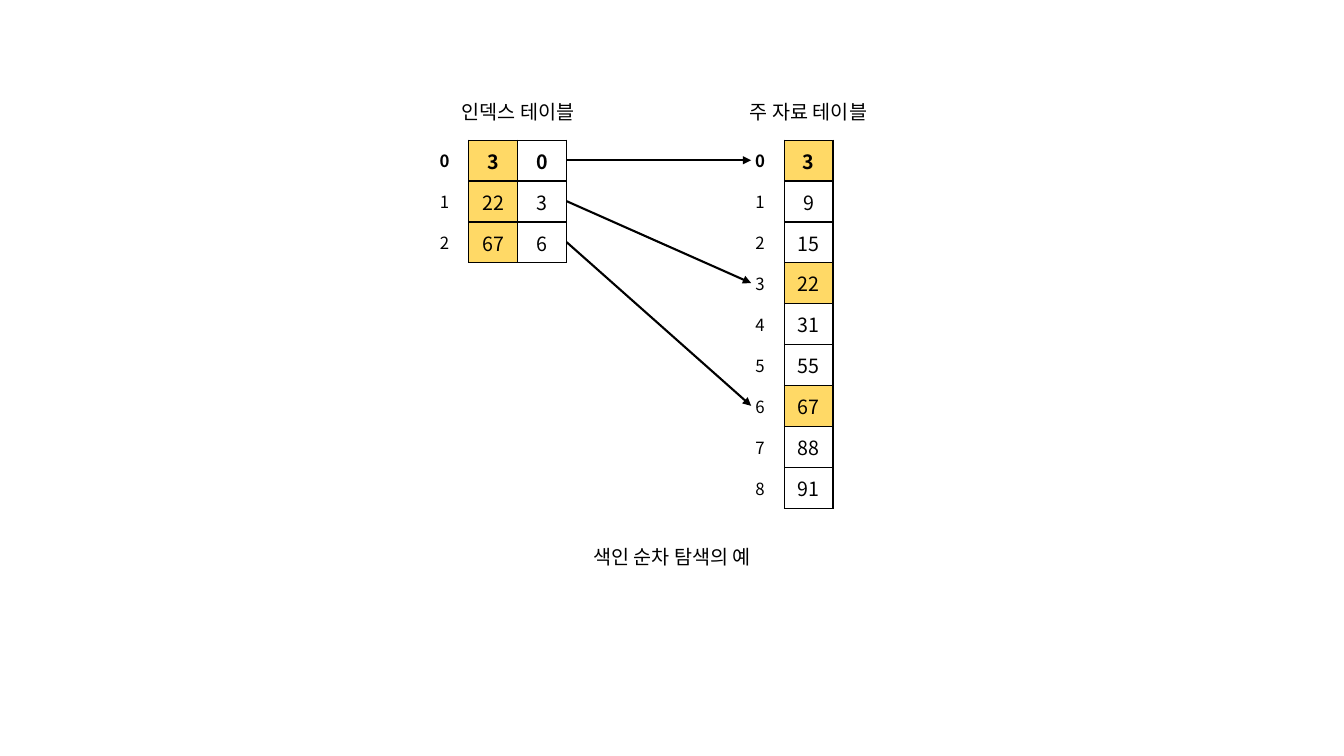
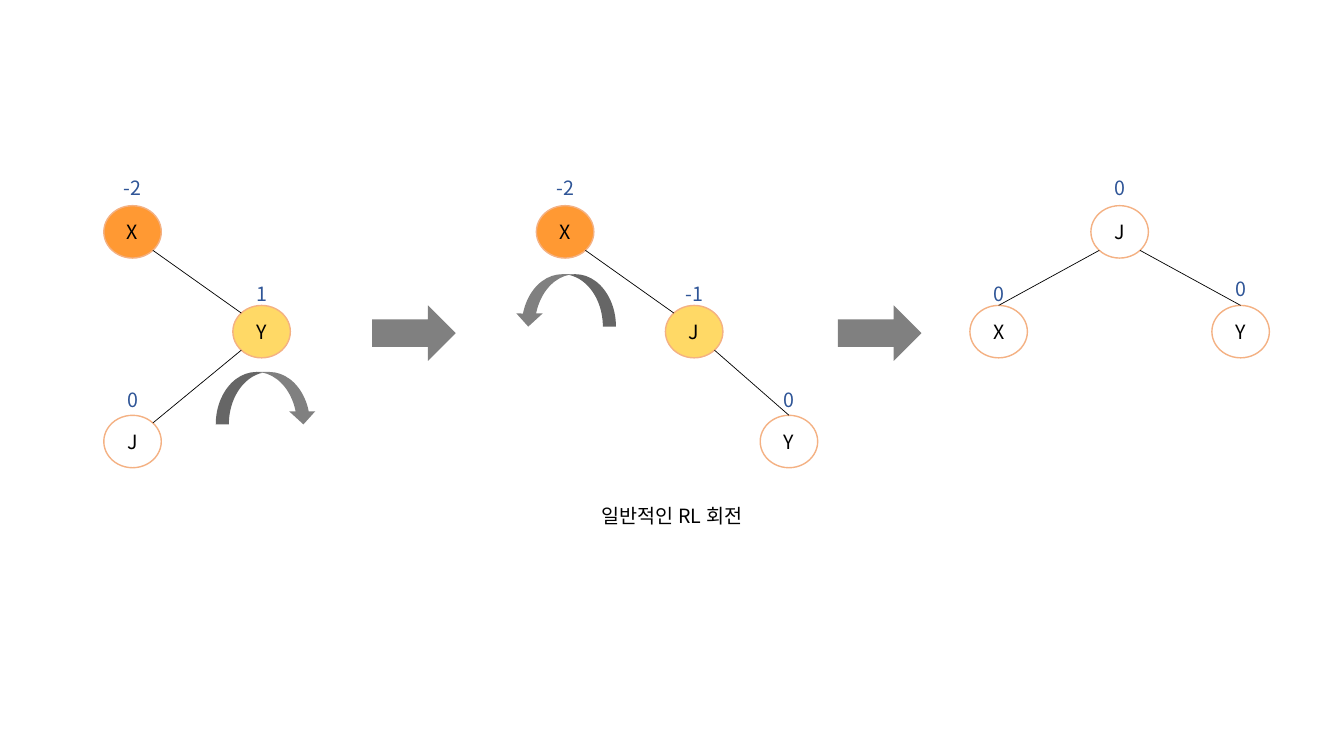
"""Build two slides on index search and tree rotation."""
import pptx
import pptx.dml.color
import pptx.enum.shapes
import pptx.enum.text
import pptx.oxml.ns
import pptx.util
from lxml import etree

Inches = pptx.util.Inches
Pt = pptx.util.Pt
RGB = pptx.dml.color.RGBColor
Kind = pptx.enum.shapes.MSO_SHAPE
Align = pptx.enum.text.PP_ALIGN
Anchor = pptx.enum.text.MSO_ANCHOR

FONT = "Noto Sans CJK KR"
BLACK = RGB(0x00, 0x00, 0x00)
WHITE = RGB(0xFF, 0xFF, 0xFF)
YELLOW = RGB(0xFF, 0xD9, 0x66)
ORANGE = RGB(0xFF, 0x99, 0x33)
PEACH = RGB(0xF4, 0xB1, 0x83)
BLUE = RGB(0x2F, 0x55, 0x97)
GREY = RGB(0x80, 0x80, 0x80)

ROW, COL = 0.406, 0.483
TOP = 1.39
WIDE, HIGH = 0.57, 0.52
LEVELS = (2.04, 3.03, 4.12)
DIAG = 0.5 ** 0.5


def add_tag(parent, name, **attrs):
    """Append a drawing element to its parent."""
    return etree.SubElement(parent, pptx.oxml.ns.qn(name), **attrs)


def write(frame, text, size=14, color=BLACK, bold=False):
    """Put one centred run in a text frame."""
    para = frame.paragraphs[0]
    para.alignment = Align.CENTER
    run = para.add_run()
    run.text = text
    font = run.font
    font.name, font.size, font.bold = FONT, Pt(size), bold
    font.color.rgb = color


def add_text(slide, left, top, width, text, color=BLACK):
    """Add a one-line text box."""
    box = slide.shapes.add_textbox(
        Inches(left), Inches(top), Inches(width), Inches(0.34))
    box.text_frame.word_wrap = True
    write(box.text_frame, text, color=color)


def add_title(slide, top, text):
    """Add the caption below a figure."""
    add_text(slide, 2.88, top, 7.57, text)


def set_edge(cell, shown):
    """Draw or clear the four borders of a cell."""
    props = cell._tc.get_or_add_tcPr()
    for side in "LRTB":
        line = add_tag(props, f"a:ln{side}", w=str(Pt(1)))
        if shown:
            fill = add_tag(line, "a:solidFill")
            add_tag(fill, "a:srgbClr", val=str(BLACK))
        else:
            add_tag(line, "a:noFill")


def add_grid(slide, left, rows, size=14, marked=None):
    """Add a table; without marked values it is a bare list of labels."""
    count = len(rows[0])
    table = slide.shapes.add_table(
        len(rows), count, Inches(left), Inches(TOP),
        Inches(COL * count), Inches(ROW * len(rows))).table
    table.first_row = table.horz_banding = False
    framed = marked is not None
    for y, row in enumerate(rows):
        for x, value in enumerate(row):
            cell = table.cell(y, x)
            cell.vertical_anchor = Anchor.MIDDLE
            set_edge(cell, framed)
            if framed:
                cell.fill.solid()
                hit = x == 0 and value in marked
                cell.fill.fore_color.rgb = YELLOW if hit else WHITE
            else:
                cell.fill.background()
            write(cell.text_frame, str(value), size, bold=y == 0)


def add_line(slide, start, end, width=0.5, arrow=False):
    """Join two points, with an arrowhead at the end if asked."""
    ends = [Inches(value) for value in (*start, *end)]
    line = slide.shapes.add_connector(
        pptx.enum.shapes.MSO_CONNECTOR.STRAIGHT, *ends)
    line.line.color.rgb = BLACK
    line.line.width = Pt(width)
    if arrow:
        add_tag(line.line._get_or_add_ln(), "a:tailEnd", type="triangle")
    add_tag(line._element.spPr, "a:effectLst")


def add_shape(slide, kind, left, top, width, height, fill):
    """Add a flat filled shape without outline."""
    shape = slide.shapes.add_shape(
        kind, Inches(left), Inches(top), Inches(width), Inches(height))
    shape.shadow.inherit = False
    shape.fill.solid()
    shape.fill.fore_color.rgb = fill
    shape.line.fill.background()
    return shape


def add_node(slide, left, level, name, score, gap, fill=WHITE):
    """Add a tree node with its balance above; return its place."""
    top = LEVELS[level]
    node = add_shape(slide, Kind.OVAL, left, top, WIDE, HIGH, fill)
    node.line.color.rgb = PEACH
    node.line.width = Pt(1)
    frame = node.text_frame
    frame.margin_left = frame.margin_right = 0
    frame.vertical_anchor = Anchor.MIDDLE
    write(frame, name)
    add_text(slide, left, top - gap, WIDE, score, BLUE)
    return left, top


def rim(node, x, y):
    """Return the point on a node's rim in a direction."""
    left, top = node
    return left + WIDE / 2 * (1 + x), top + HIGH / 2 * (1 + y)


def add_edge(slide, node, child, side, upright=False):
    """Join a node to its child on the left (-1) or right (1)."""
    end = rim(child, 0, -1) if upright else rim(child, -side * DIAG, -DIAG)
    add_line(slide, rim(node, side * DIAG, DIAG), end)


def add_curve(slide, left, top, flip=False):
    """Add a curved arrow that shows a rotation."""
    curve = add_shape(
        slide, Kind.CURVED_DOWN_ARROW, left, top, 1, HIGH, GREY)
    if flip:
        curve._element.spPr.xfrm.set("flipH", "1")


def draw_search(slide):
    """Draw the index table that points into the main table."""
    index = [(3, 0), (22, 3), (67, 6)]
    data = [3, 9, 15, 22, 31, 55, 67, 88, 91]
    keys = [key for key, _ in index]
    add_text(slide, 4.32, 0.94, 1.64, "인덱스 테이블")
    add_text(slide, 7.2, 0.94, 1.64, "주 자료 테이블")
    for left, rows in ((4.65, index), (7.78, [(item,) for item in data])):
        add_grid(slide, left, rows, marked=keys)
        labels = [(place,) for place in range(len(rows))]
        add_grid(slide, left - COL, labels, size=12)
    for row, (_, place) in enumerate(index):
        start, end = (TOP + 0.2 + ROW * step for step in (row, place))
        add_line(slide, (5.62, start), (7.45, end), 1.5, True)
    add_title(slide, 5.36, "색인 순차 탐색의 예")


def draw_turn(slide):
    """Draw the three stages of an RL rotation."""
    root = add_node(slide, 1.03, 0, "X", "-2", 0.34, ORANGE)
    right = add_node(slide, 2.31, 1, "Y", "1", 0.28, YELLOW)
    leaf = add_node(slide, 1.03, 2, "J", "0", 0.32)
    add_edge(slide, root, right, 1)
    add_edge(slide, right, leaf, -1)
    add_curve(slide, 2.14, 3.69)

    root = add_node(slide, 5.32, 0, "X", "-2", 0.34, ORANGE)
    right = add_node(slide, 6.6, 1, "J", "-1", 0.28, YELLOW)
    leaf = add_node(slide, 7.54, 2, "Y", "0", 0.32)
    add_edge(slide, root, right, 1)
    add_edge(slide, right, leaf, 1, True)
    add_curve(slide, 5.11, 2.72, True)

    root = add_node(slide, 10.82, 0, "J", "0", 0.34)
    left = add_node(slide, 9.62, 1, "X", "0", 0.28)
    right = add_node(slide, 12.02, 1, "Y", "0", 0.33)
    add_edge(slide, root, left, -1, True)
    add_edge(slide, root, right, 1, True)

    for x in (3.69, 8.31):
        add_shape(slide, Kind.RIGHT_ARROW, x, LEVELS[1], 0.83, 0.55, GREY)
    add_title(slide, 4.95, "일반적인 RL 회전")


def main():
    """Build and save the slides."""
    deck = pptx.Presentation()
    deck.slide_width, deck.slide_height = Inches(13.33), Inches(7.5)
    blank = deck.slide_layouts[6]
    for draw in (draw_search, draw_turn):
        draw(deck.slides.add_slide(blank))
    deck.save("out.pptx")


if __name__ == "__main__":
    main()
